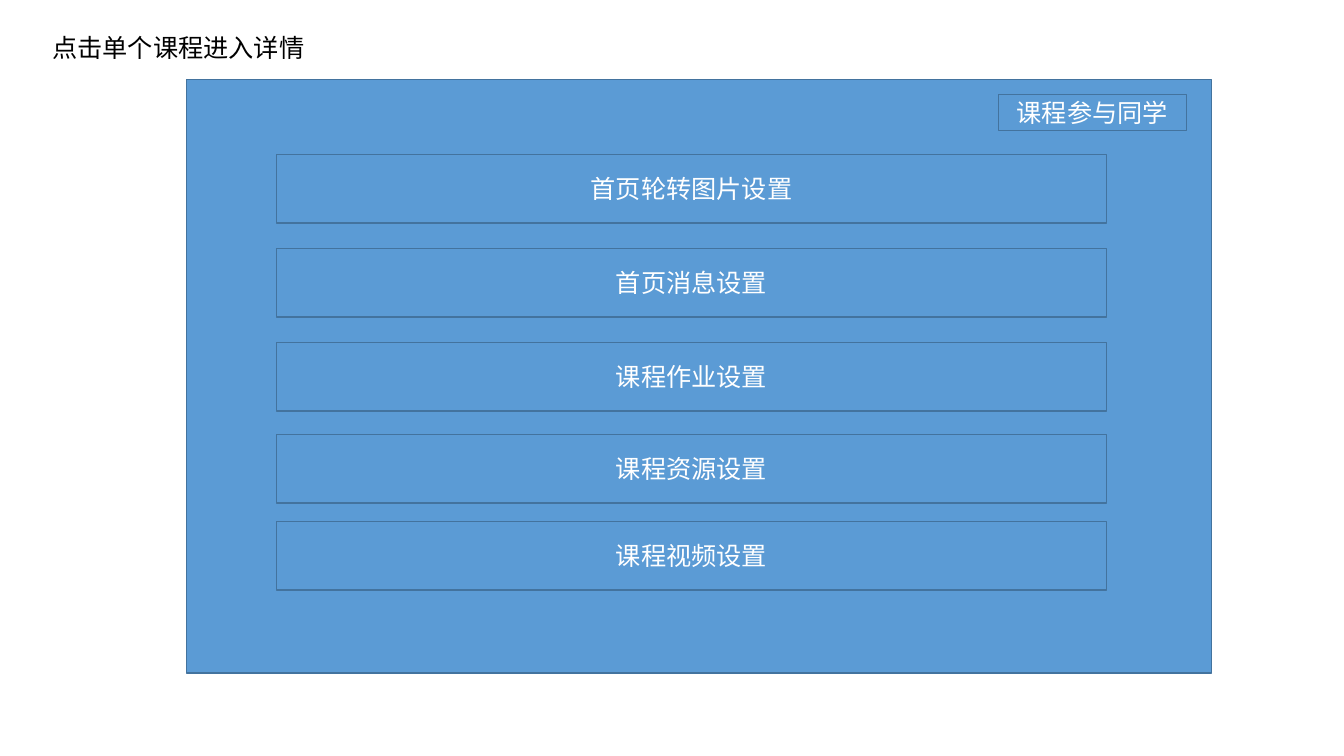
from pptx import Presentation
from pptx.dml.color import RGBColor
from pptx.enum.shapes import MSO_SHAPE
from pptx.enum.text import MSO_ANCHOR, MSO_AUTO_SIZE, PP_ALIGN
from pptx.util import Pt

RECTANGLE = MSO_SHAPE.RECTANGLE
TOP, MIDDLE = MSO_ANCHOR.TOP, MSO_ANCHOR.MIDDLE
LEFT, CENTER = PP_ALIGN.LEFT, PP_ALIGN.CENTER
NO_AUTO_SIZE = MSO_AUTO_SIZE.NONE
TITLE_ONLY = 5


def color(hex_string):
    return RGBColor.from_string(hex_string)


class SlideBuilder:
    font_name = "Calibri"
    font_size = 18
    fill = "5B9BD5"
    outline = "43739E"

    def __init__(self, slide):
        self.slide = slide

    def set_text(self, shape, text, text_color, alignment, anchor):
        frame = shape.text_frame
        frame.text = text
        frame.vertical_anchor = anchor
        paragraph = frame.paragraphs[0]
        paragraph.alignment = alignment
        font = paragraph.runs[0].font
        font.name = self.font_name
        font.size = Pt(self.font_size)
        font.color.rgb = color(text_color)

    def title(self, text, left, top, width, height):
        shape = self.slide.shapes.title
        shape.left, shape.top = Pt(left), Pt(top)
        shape.width, shape.height = Pt(width), Pt(height)
        self.set_text(shape, text, "000000", LEFT, TOP)
        shape.text_frame.word_wrap = False
        shape.text_frame.auto_size = NO_AUTO_SIZE

    def box(self, left, top, width, height, text=None):
        shape = self.slide.shapes.add_shape(
            RECTANGLE, Pt(left), Pt(top), Pt(width), Pt(height))
        shape.shadow.inherit = False
        shape.fill.solid()
        shape.fill.fore_color.rgb = color(self.fill)
        shape.line.color.rgb = color(self.outline)
        shape.line.width = Pt(1)
        if text:
            self.set_text(shape, text, "FFFFFF", CENTER, MIDDLE)


def main():
    presentation = Presentation()
    presentation.slide_width, presentation.slide_height = Pt(960), Pt(540)
    layout = presentation.slide_layouts[TITLE_ONLY]
    builder = SlideBuilder(presentation.slides.add_slide(layout))

    # Heading and page panel
    builder.title("点击单个课程进入详情", 30.2, 19.4, 198, 29)
    builder.box(133.2, 56.9, 732.2, 424)

    # Course settings, each with its top edge
    settings = [
        ("首页轮转图片设置", 110.2),
        ("首页消息设置", 177.3),
        ("课程作业设置", 244.6),
        ("课程资源设置", 310.4),
        ("课程视频设置", 372.4),
    ]
    for text, top in settings:
        builder.box(197.3, top, 593.2, 49, text)

    # Participants button
    builder.box(713.2, 67.4, 134.2, 26, "课程参与同学")

    presentation.save("out.pptx")


if __name__ == "__main__":
    main()
